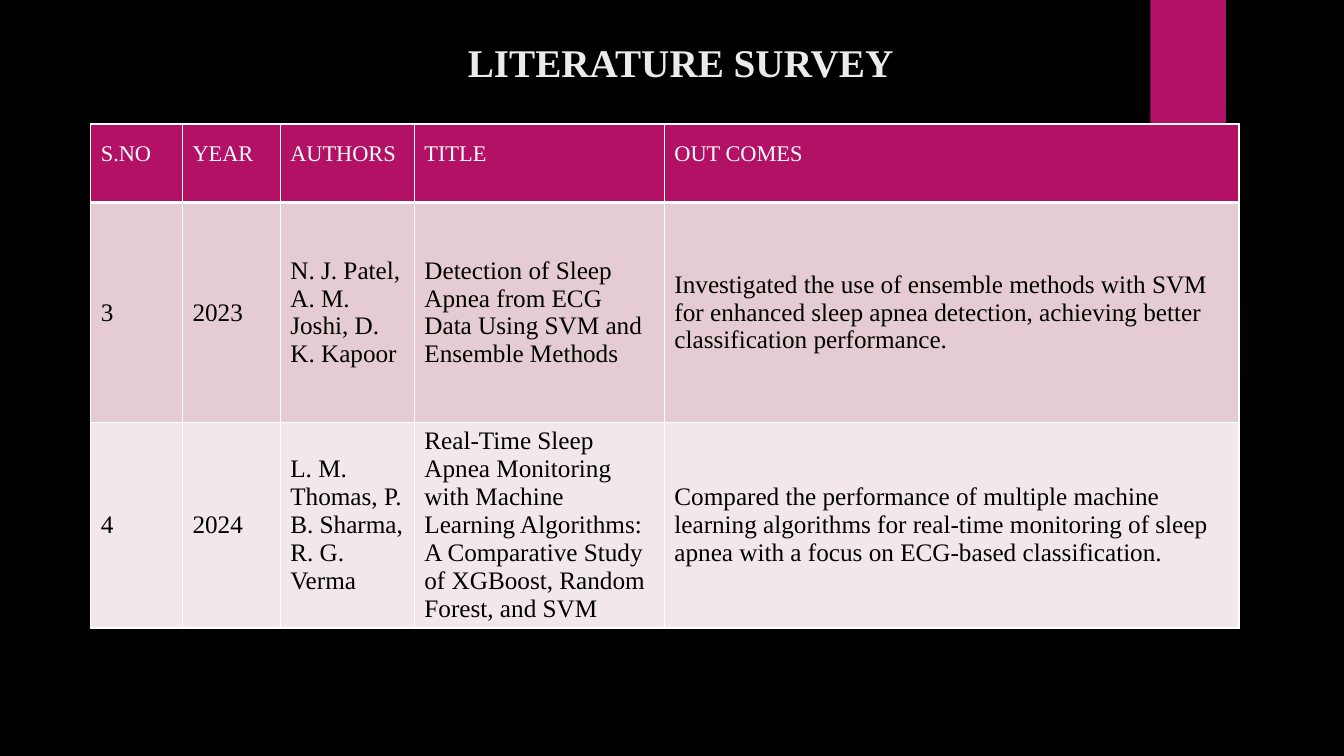
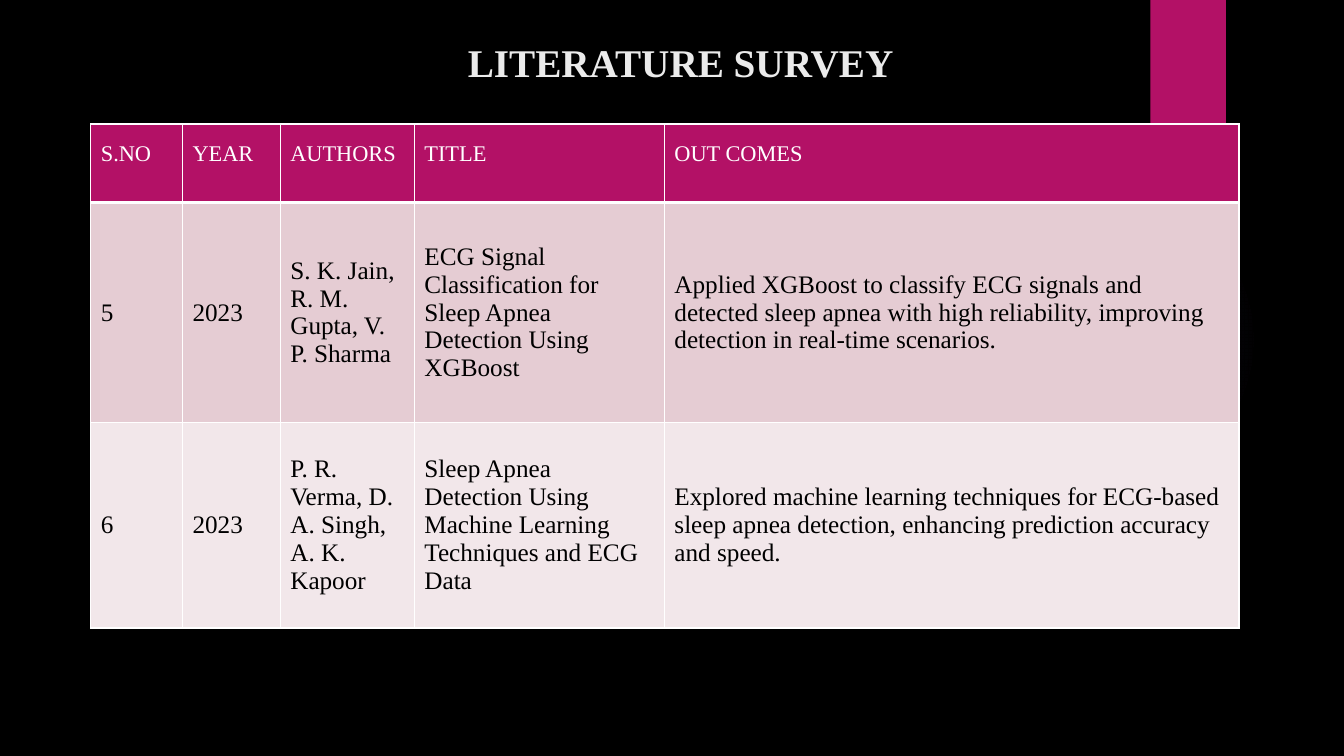
import lxml.etree
import pptx
import pptx.dml.color
import pptx.enum.shapes
import pptx.enum.text
import pptx.oxml
import pptx.oxml.ns
import pptx.util

Inches = pptx.util.Inches
Pt = pptx.util.Pt

COLOURS = {
    "background": "000000",
    "accent": "B31166",
    "glow": "9B6BF2",
    "title": "EBEBEB",
    "header_text": "FFFFFF",
    "body_text": "000000",
    "border": "FFFFFF",
    "odd_row": "E5CCD3",
    "even_row": "F2E7EA",
}
FONT = "Times New Roman"
TITLE = "LITERATURE SURVEY"
HEADINGS = ["S.NO", "YEAR", "AUTHORS", "TITLE", "OUT COMES"]
COLUMN_WIDTHS = [0.91, 0.97, 1.33, 2.48, 5.7]
ROW_HEIGHTS = [0.78, 2.18, 2.04]
GLOW_STOPS = [(0, 7), (36, 6), (69, 0)]

TITLE_BOX = (1.55, 0, 9.4, 1.02)
TABLE_BOX = (0.9, 1.23, sum(COLUMN_WIDTHS), sum(ROW_HEIGHTS))
GLOW_BOX = (9.41, 1.83, 3.08, 3.08)
RIBBON_BOX = (11.41, 0, 0.75, 1.25)

SURVEYS = [
    [
        ["3", "2023", "N. J. Patel, A. M. Joshi, D. K. Kapoor",
         "Detection of Sleep Apnea from ECG Data Using SVM and Ensemble Methods",
         "Investigated the use of ensemble methods with SVM for enhanced sleep apnea "
         "detection, achieving better classification performance."],
        ["4", "2024", "L. M. Thomas, P. B. Sharma, R. G. Verma",
         "Real-Time Sleep Apnea Monitoring with Machine Learning Algorithms: "
         "A Comparative Study of XGBoost, Random Forest, and SVM",
         "Compared the performance of multiple machine learning algorithms for real-time "
         "monitoring of sleep apnea with a focus on ECG-based classification."],
    ],
    [
        ["5", "2023", "S. K. Jain, R. M. Gupta, V. P. Sharma",
         "ECG Signal Classification for Sleep Apnea Detection Using XGBoost",
         "Applied XGBoost to classify ECG signals and detected sleep apnea with high "
         "reliability, improving detection in real-time scenarios."],
        ["6", "2023", "P. R. Verma, D. A. Singh, A. K. Kapoor",
         "Sleep Apnea Detection Using Machine Learning Techniques and ECG Data",
         "Explored machine learning techniques for ECG-based sleep apnea detection, "
         "enhancing prediction accuracy and speed."],
    ],
]


def colour(name):
    return pptx.dml.color.RGBColor.from_string(COLOURS[name])


def inches(box):
    return [Inches(length) for length in box]


def add_run(paragraph, text, size, colour_name, bold=False):
    run = paragraph.add_run()
    run.text = text
    run.font.name = FONT
    run.font.size = Pt(size)
    run.font.bold = bold
    run.font.color.rgb = colour(colour_name)


def add_plain_shape(slide, kind, box):
    shape = slide.shapes.add_shape(kind, *inches(box))
    shape.shadow.inherit = False
    shape.line.fill.background()
    return shape


def add_glow(slide, box):
    glow = add_plain_shape(slide, pptx.enum.shapes.MSO_SHAPE.OVAL, box)
    stops = "".join(
        f'<a:gs pos="{position * 1000}"><a:srgbClr val="{COLOURS["glow"]}">'
        f'<a:alpha val="{opacity * 1000}"/></a:srgbClr></a:gs>'
        for position, opacity in GLOW_STOPS
    )
    gradient = pptx.oxml.parse_xml(
        f'<a:gradFill {pptx.oxml.ns.nsdecls("a")}><a:gsLst>{stops}</a:gsLst>'
        '<a:path path="circle"><a:fillToRect l="50000" t="50000" r="50000" b="50000"/>'
        "</a:path></a:gradFill>"
    )
    geometry = glow.element.spPr.find(pptx.oxml.ns.qn("a:prstGeom"))
    geometry.addnext(gradient)


def add_ribbon(slide, box):
    ribbon = add_plain_shape(slide, pptx.enum.shapes.MSO_SHAPE.RECTANGLE, box)
    ribbon.fill.solid()
    ribbon.fill.fore_color.rgb = colour("accent")


def add_title(slide, box):
    frame = slide.shapes.add_textbox(*inches(box)).text_frame
    frame.word_wrap = True
    heading = frame.paragraphs[0]
    heading.alignment = pptx.enum.text.PP_ALIGN.CENTER
    heading.line_spacing = 1.7
    properties = heading._p.get_or_add_pPr()
    properties.set("marL", str(Inches(1)))
    properties.set("indent", "0")
    add_run(heading, TITLE, 28, "title", bold=True)


def set_borders(cell, bottom_width):
    properties = cell._tc.get_or_add_tcPr()
    for side, width in (("L", 1), ("R", 1), ("T", 1), ("B", bottom_width)):
        properties.append(pptx.oxml.parse_xml(
            f'<a:ln{side} {pptx.oxml.ns.nsdecls("a")} w="{Pt(width)}"><a:solidFill>'
            f'<a:srgbClr val="{COLOURS["border"]}"/></a:solidFill></a:ln{side}>'
        ))


def fill_cell(cell, text, row):
    is_header = row == 0
    set_borders(cell, 3 if is_header else 1)
    cell.fill.solid()
    cell.fill.fore_color.rgb = colour(("accent", "odd_row", "even_row")[row])
    paragraph = cell.text_frame.paragraphs[0]
    if is_header:
        paragraph.line_spacing = 1.5
        add_run(paragraph, text, 16, "header_text")
    else:
        cell.vertical_anchor = pptx.enum.text.MSO_ANCHOR.MIDDLE
        add_run(paragraph, text, 18, "body_text")


def add_survey_table(slide, box, papers):
    survey = slide.shapes.add_table(
        len(ROW_HEIGHTS), len(COLUMN_WIDTHS), *inches(box)
    ).table
    for column, width in zip(survey.columns, COLUMN_WIDTHS):
        column.width = Inches(width)
    for row, height in zip(survey.rows, ROW_HEIGHTS):
        row.height = Inches(height)
    for row, entries in enumerate([HEADINGS, *papers]):
        for column, text in enumerate(entries):
            fill_cell(survey.cell(row, column), text, row)


def add_survey_slide(presentation, papers):
    slide = presentation.slides.add_slide(presentation.slide_layouts[6])
    add_glow(slide, GLOW_BOX)
    add_ribbon(slide, RIBBON_BOX)
    add_survey_table(slide, TABLE_BOX, papers)
    add_title(slide, TITLE_BOX)


def main():
    presentation = pptx.Presentation()
    presentation.slide_width = Inches(13.33)
    presentation.slide_height = Inches(7.5)
    background = presentation.slide_master.background.fill
    background.solid()
    background.fore_color.rgb = colour("background")
    for papers in SURVEYS:
        add_survey_slide(presentation, papers)
    presentation.save("out.pptx")


if __name__ == "__main__":
    main()
